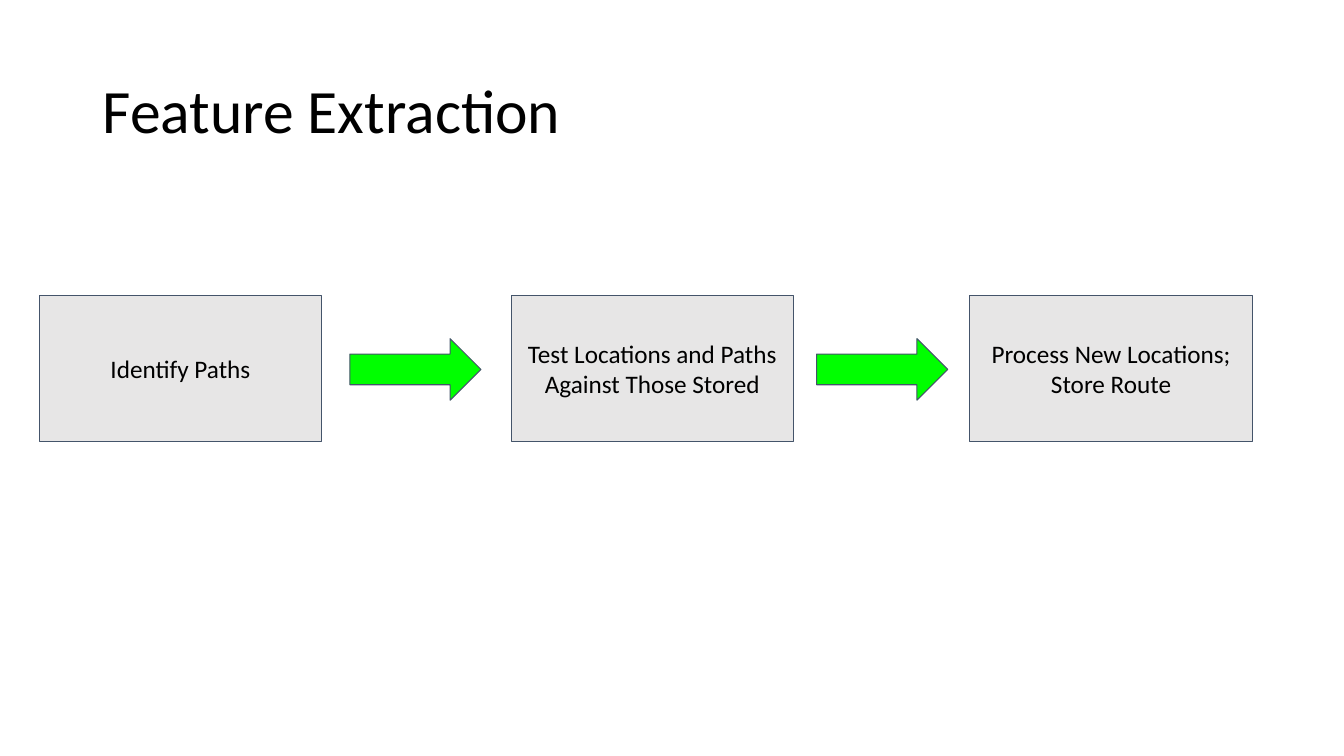
"""Build the Feature Extraction slide: three steps joined by block arrows."""
from dataclasses import dataclass

from pptx import Presentation
from pptx.dml.color import RGBColor
from pptx.enum.shapes import MSO_SHAPE
from pptx.enum.text import MSO_ANCHOR, PP_ALIGN
from pptx.util import Emu, Pt

RECTANGLE = MSO_SHAPE.RECTANGLE
RIGHT_ARROW = MSO_SHAPE.RIGHT_ARROW
MIDDLE = MSO_ANCHOR.MIDDLE
LEFT = PP_ALIGN.LEFT
CENTER = PP_ALIGN.CENTER
EMU_PER_PX = 9144


@dataclass(frozen=True)
class Theme:
    font: str = "Calibri"
    title_size: int = 44
    step_size: int = 18
    ink: RGBColor = RGBColor(0x00, 0x00, 0x00)
    step_fill: RGBColor = RGBColor(0xE7, 0xE6, 0xE6)
    arrow_fill: RGBColor = RGBColor(0x00, 0xFF, 0x00)
    outline: RGBColor = RGBColor(0x44, 0x54, 0x6A)
    outline_width: float = 0.75


@dataclass(frozen=True)
class Box:
    left: int
    top: int
    width: int
    height: int

    def emu(self) -> tuple[Emu, Emu, Emu, Emu]:
        return px(self.left), px(self.top), px(self.width), px(self.height)


@dataclass(frozen=True)
class Step:
    left: int
    label: str


THEME = Theme()
TITLE_BOX = Box(92, 40, 1150, 145)
STEP_TOP, STEP_WIDTH, STEP_HEIGHT = 293, 280, 145
ARROW_TOP, ARROW_WIDTH, ARROW_HEIGHT = 336, 130, 61
STEPS = (
    Step(39, "Identify Paths"),
    Step(507, "Test Locations and Paths Against Those Stored"),
    Step(962, "Process New Locations; Store Route"),
)
ARROW_LEFTS = (347, 810)


def px(length: int) -> Emu:
    return Emu(length * EMU_PER_PX)


def write(shape, text: str, size: int, align: PP_ALIGN, inset: int) -> None:
    frame = shape.text_frame
    frame.word_wrap = True
    frame.vertical_anchor = MIDDLE
    frame.margin_left = frame.margin_right = px(10)
    frame.margin_top = frame.margin_bottom = px(inset)
    paragraph = frame.paragraphs[0]
    paragraph.text = text
    paragraph.alignment = align
    paragraph.font.name = THEME.font
    paragraph.font.size = Pt(size)
    paragraph.font.color.rgb = THEME.ink


def add_outlined(slide, kind: MSO_SHAPE, box: Box, fill: RGBColor):
    shape = slide.shapes.add_shape(kind, *box.emu())
    shape.shadow.inherit = False
    shape.fill.solid()
    shape.fill.fore_color.rgb = fill
    shape.line.color.rgb = THEME.outline
    shape.line.width = Pt(THEME.outline_width)
    return shape


def add_title(slide, text: str) -> None:
    title = slide.shapes.add_textbox(*TITLE_BOX.emu())
    write(title, text, THEME.title_size, LEFT, 5)
    title.text_frame.paragraphs[0].line_spacing = 0.9


def add_step(slide, step: Step) -> None:
    box = Box(step.left, STEP_TOP, STEP_WIDTH, STEP_HEIGHT)
    card = add_outlined(slide, RECTANGLE, box, THEME.step_fill)
    write(card, step.label, THEME.step_size, CENTER, 10)


def add_arrow(slide, left: int) -> None:
    box = Box(left, ARROW_TOP, ARROW_WIDTH, ARROW_HEIGHT)
    add_outlined(slide, RIGHT_ARROW, box, THEME.arrow_fill)


def main() -> None:
    deck = Presentation()
    deck.slide_width, deck.slide_height = px(1333), px(750)
    slide = deck.slides.add_slide(deck.slide_layouts[6])
    add_title(slide, "Feature Extraction")
    for step in STEPS:
        add_step(slide, step)
    for left in ARROW_LEFTS:
        add_arrow(slide, left)
    deck.save("out.pptx")


if __name__ == "__main__":
    main()
